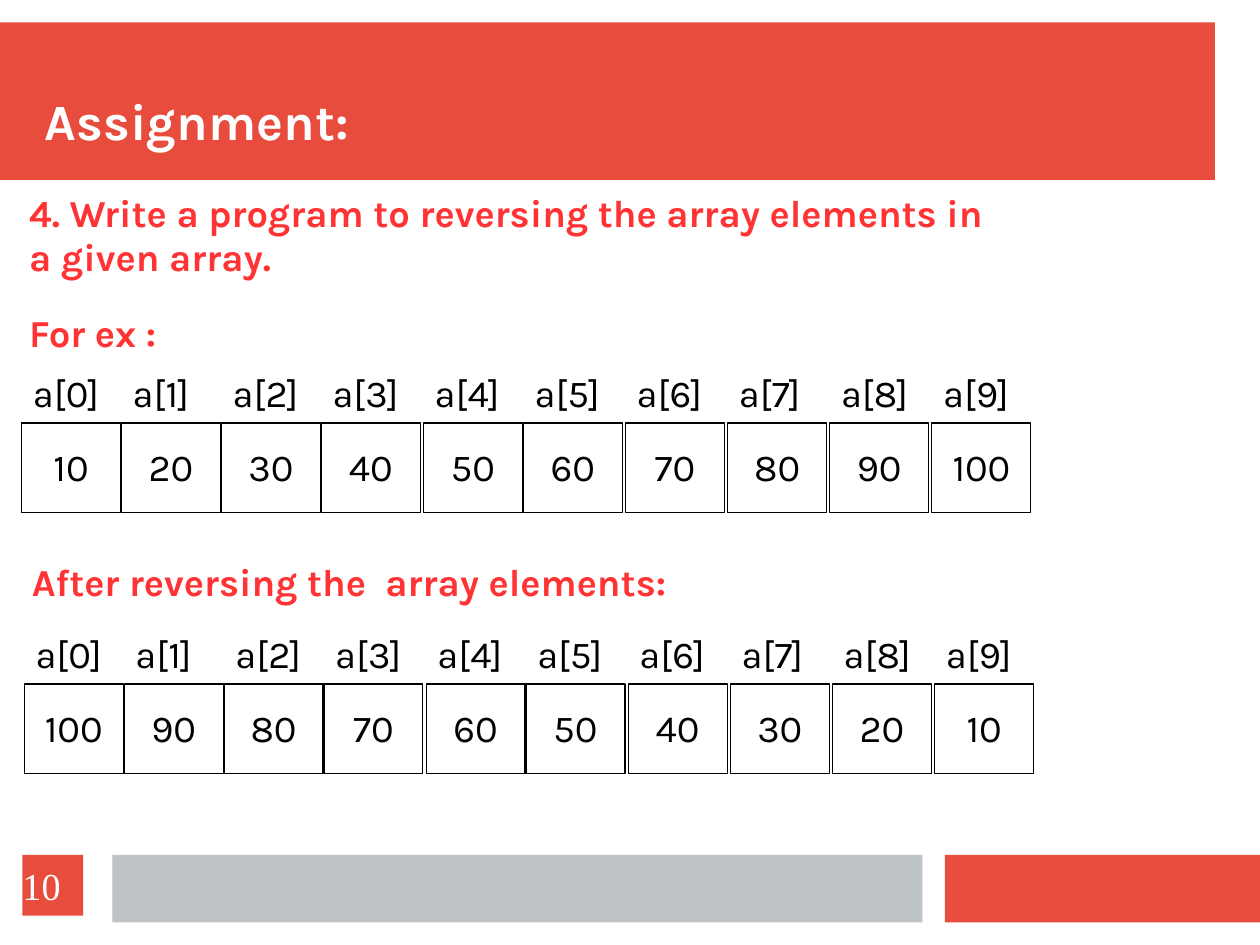
from dataclasses import dataclass

from pptx import Presentation
from pptx.dml.color import RGBColor
from pptx.enum import shapes, text
from pptx.util import Cm, Pt


@dataclass(frozen=True)
class Theme:
    red: str = "E74C3C"
    grey: str = "BDC3C7"
    white: str = "FFFFFF"
    ink: str = "000000"
    accent: str = "FF3333"
    font: str = "Karla"
    serif: str = "Times New Roman"
    body: int = 24
    head: int = 32
    line: float = 0.97


@dataclass(frozen=True)
class Box:
    left: float
    top: float
    width: float
    height: float


@dataclass(frozen=True)
class Note:
    box: Box
    lines: tuple[str, ...]


@dataclass(frozen=True)
class Row:
    left: float
    top: float
    values: tuple[int, ...]


LOOK = Theme()

# Cell grid, in centimetres
CELL_W, CELL_H, LABEL_H = 2.2, 2.0, 1.27
PITCH, GAP = 2.22, 0.05
GAPPED = (4, 6, 7, 8, 9)  # cells with a small gap before them

# Slide content
BANDS = (
    (Box(0, 0.5, 27, 3.5), LOOK.red),
    (Box(21, 19, 7, 1.5), LOOK.red),
    (Box(2.5, 19, 18, 1.5), LOOK.grey),
)
NOTES = (
    Note(Box(0.4, 4.14, 25.35, 2.26),
         ("4. Write a program to reversing the array elements in",
          "a given array.")),
    Note(Box(0.4, 6.8, 4.4, LABEL_H), ("For ex :",)),
    Note(Box(0.46, 12.34, 18.08, LABEL_H),
         ("After reversing the  array elements:",)),
)
TENS = tuple(range(10, 101, 10))
ROWS = (Row(0.48, 9.4, TENS), Row(0.54, 15.2, TENS[::-1]))


def place(shape, box: Box) -> None:
    shape.left, shape.top = Cm(box.left), Cm(box.top)
    shape.width, shape.height = Cm(box.width), Cm(box.height)


def write(shape, lines: tuple[str, ...], color: str, size: int = LOOK.body,
          face: str = LOOK.font, bold: bool = False, align=text.PP_ALIGN.LEFT,
          anchor=text.MSO_ANCHOR.TOP, inset: bool = True,
          line: float = LOOK.line) -> None:
    frame = shape.text_frame
    frame.text = "\n".join(lines)
    frame.word_wrap = True
    frame.auto_size = text.MSO_AUTO_SIZE.NONE
    frame.vertical_anchor = anchor
    frame.margin_left = frame.margin_right = Cm(0.25 if inset else 0)
    frame.margin_top = frame.margin_bottom = Cm(0.13 if inset else 0)
    for para in frame.paragraphs:
        para.alignment = align
        para.line_spacing = line
        para.space_before = Pt(0)
        para.font.name = face
        para.font.size = Pt(size)
        para.font.bold = bold
        para.font.color.rgb = RGBColor.from_string(color)


def block(slide, box: Box, fill: str, edge: str = ""):
    shape = slide.shapes.add_shape(shapes.MSO_SHAPE.RECTANGLE, 0, 0, 0, 0)
    place(shape, box)
    shape.shadow.inherit = False
    shape.fill.solid()
    shape.fill.fore_color.rgb = RGBColor.from_string(fill)
    if edge:
        shape.line.color.rgb = RGBColor.from_string(edge)
        shape.line.width = Pt(0.75)
    else:
        shape.line.fill.background()
    return shape


def label(slide, box: Box, lines: tuple[str, ...], color: str,
          bold: bool = False) -> None:
    shape = slide.shapes.add_textbox(0, 0, 0, 0)
    place(shape, box)
    write(shape, lines, color, bold=bold)


def array(slide, row: Row) -> None:
    for i, value in enumerate(row.values):
        left = row.left + i * PITCH + GAP * sum(g <= i for g in GAPPED)
        cell = block(slide, Box(left, row.top, CELL_W, CELL_H),
                     LOOK.white, LOOK.ink)
        write(cell, (str(value),), LOOK.ink, align=text.PP_ALIGN.CENTER,
              anchor=text.MSO_ANCHOR.MIDDLE)
        label(slide, Box(left, row.top - LABEL_H, CELL_W, LABEL_H),
              (f"a[{i}]",), LOOK.ink)


def main() -> None:
    deck = Presentation()
    deck.slide_width, deck.slide_height = Cm(28), Cm(21)
    slide = deck.slides.add_slide(deck.slide_layouts[5])

    # Coloured bands
    for box, fill in BANDS:
        block(slide, box, fill)

    # Title, brought in front of its band
    title = slide.shapes.title
    title.element.getparent().append(title.element)
    place(title, Box(1, 1, 25.88, 2.38))
    write(title, ("Assignment:",), LOOK.white, LOOK.head, bold=True,
          anchor=text.MSO_ANCHOR.BOTTOM, inset=False)

    # Task text and both arrays
    for note in NOTES:
        label(slide, note.box, note.lines, LOOK.accent, bold=True)
    for row in ROWS:
        array(slide, row)

    # Page number
    page = block(slide, Box(0.5, 19, 1.35, 1.35), LOOK.red)
    write(page, ("10",), LOOK.white, face=LOOK.serif, inset=False,
          anchor=text.MSO_ANCHOR.MIDDLE, line=1.0)

    deck.save("out.pptx")


if __name__ == "__main__":
    main()
